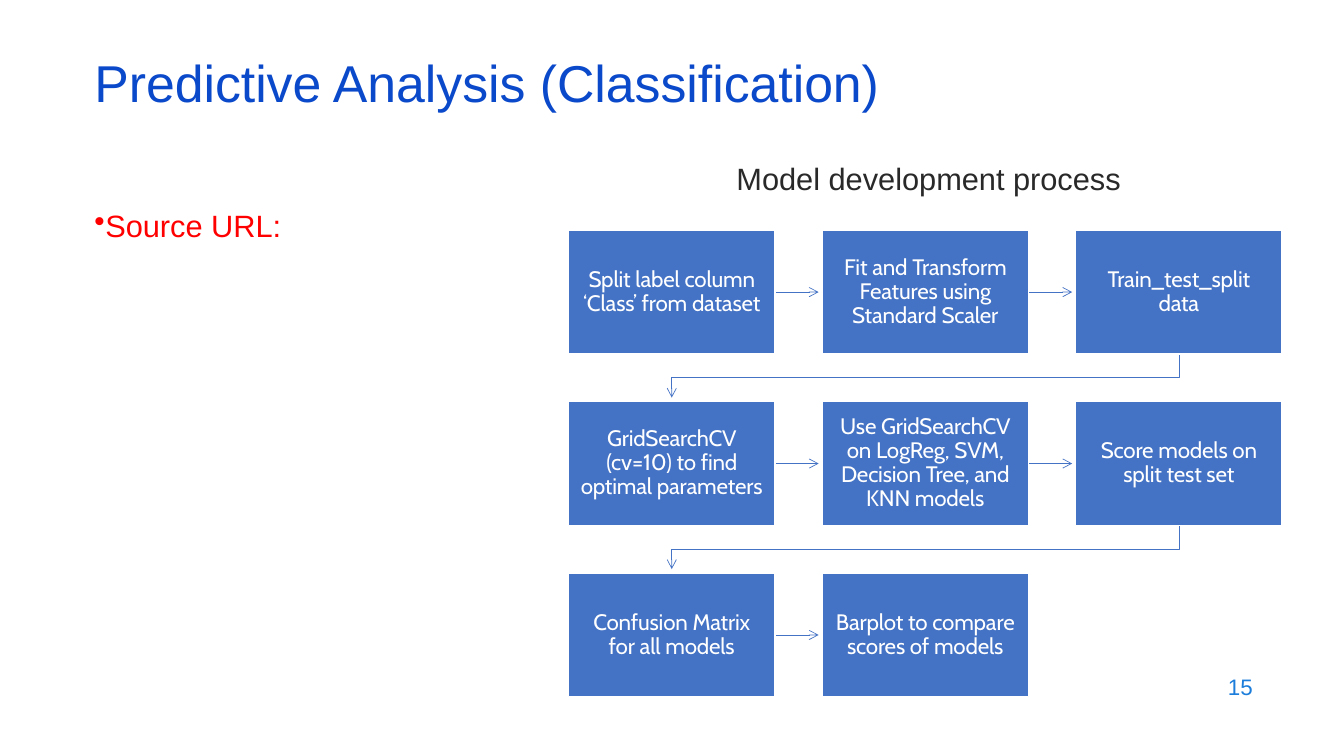
from lxml import etree
from pptx import Presentation
from pptx.dml.color import RGBColor
from pptx.enum import shapes, text
from pptx.oxml.ns import qn
from pptx.util import Cm, Pt

# Content
TITLE = "Predictive Analysis (Classification)"
REPOSITORY = "Source URL:"
PROCESS_HEADING = "Model development process"
PAGE_NUMBER = "15"
STEPS = [
    "Split label column ‘Class’ from dataset",
    "Fit and Transform Features using Standard Scaler",
    "Train_test_split data",
    "GridSearchCV (cv=10) to find optimal parameters",
    "Use GridSearchCV on LogReg, SVM, Decision Tree, and KNN models",
    "Score models on split test set",
    "Confusion Matrix for all models",
    "Barplot to compare scores of models",
]

# Colours
TITLE_BLUE = RGBColor(0x0B, 0x49, 0xCB)
PAGE_BLUE = RGBColor(0x1C, 0x7D, 0xDB)
STEP_BLUE = RGBColor(0x44, 0x72, 0xC4)
RED = RGBColor(0xFF, 0x00, 0x00)
DARK = RGBColor(0x29, 0x29, 0x29)
WHITE = RGBColor(0xFF, 0xFF, 0xFF)

# Flow grid, in centimetres
COLUMNS = 3
FLOW_LEFT, FLOW_TOP = 14.33, 5.8
STEP_WIDTH, STEP_HEIGHT = 5.2, 3.12
PITCH_X, PITCH_Y = 6.39, 4.32
ARROW_LENGTH = 1.1
STEP_INSET = 0.3

deck = Presentation()
deck.slide_width, deck.slide_height = Cm(33.87), Cm(19.05)
slide = deck.slides.add_slide(deck.slide_layouts[6])


def write(frame, words, size, color, font="Arial", align=text.PP_ALIGN.LEFT,
          anchor=text.MSO_ANCHOR.TOP, spacing=None, tracking=None,
          bullet=None, inset=None):
    frame.word_wrap = True
    frame.vertical_anchor = anchor
    if inset is not None:
        frame.margin_left = frame.margin_right = Cm(inset)
        frame.margin_top = frame.margin_bottom = Cm(inset)
    paragraph = frame.paragraphs[0]
    if bullet:
        properties = paragraph._p.get_or_add_pPr()
        etree.SubElement(properties, qn("a:buChar")).set("char", bullet)
    paragraph.alignment = align
    if spacing:
        paragraph.line_spacing = spacing
    run = paragraph.add_run()
    run.text = words
    run.font.name, run.font.size = font, Pt(size)
    run.font.color.rgb = color
    if tracking:
        run._r.get_or_add_rPr().set("spc", str(tracking))


def text_area(left, top, width, height):
    return slide.shapes.add_textbox(Cm(left), Cm(top), Cm(width), Cm(height)).text_frame


def style_arrow(arrow):
    arrow.line.color.rgb = STEP_BLUE
    arrow.line.width = Pt(0.5)
    etree.SubElement(arrow.line._get_or_add_ln(), qn("a:tailEnd")).set("type", "arrow")


def arrow_right(x, y):
    arrow = slide.shapes.add_connector(
        shapes.MSO_CONNECTOR.STRAIGHT, Cm(x), Cm(y), Cm(x + ARROW_LENGTH), Cm(y))
    style_arrow(arrow)
    etree.SubElement(arrow._element.spPr, qn("a:effectLst"))


def arrow_to_next_row(x, y):
    first_x = FLOW_LEFT + STEP_WIDTH / 2
    middle_y = y + (PITCH_Y - STEP_HEIGHT) / 2
    builder = slide.shapes.build_freeform(Cm(x), Cm(y))
    corners = [(x, middle_y), (first_x, middle_y), (first_x, y + ARROW_LENGTH)]
    builder.add_line_segments([(Cm(a), Cm(b)) for a, b in corners], close=False)
    arrow = builder.convert_to_shape()
    arrow.fill.background()
    style_arrow(arrow)
    arrow.shadow.inherit = False


# Page number, repository, title and heading
write(text_area(24.2, 16.74, 7.62, 1.12), PAGE_NUMBER, 16, PAGE_BLUE,
      align=text.PP_ALIGN.RIGHT, anchor=text.MSO_ANCHOR.MIDDLE)
write(text_area(2.13, 5.08, 10.54, 12.1), REPOSITORY, 22, RED, bullet="•")
write(text_area(2.13, 1.5, 29.21, 1.52), TITLE, 37, TITLE_BLUE,
      anchor=text.MSO_ANCHOR.MIDDLE, spacing=0.7)
write(text_area(18.31, 3.89, 10.26, 1.19), PROCESS_HEADING, 22, DARK)

# Process steps, each with the arrow that leaves it
for index, words in enumerate(STEPS):
    row, column = divmod(index, COLUMNS)
    left, top = FLOW_LEFT + column * PITCH_X, FLOW_TOP + row * PITCH_Y
    if index < len(STEPS) - 1:
        if column < COLUMNS - 1:
            arrow_right(left + STEP_WIDTH, top + STEP_HEIGHT / 2)
        else:
            arrow_to_next_row(left + STEP_WIDTH / 2, top + STEP_HEIGHT)
    step = slide.shapes.add_shape(
        shapes.MSO_SHAPE.RECTANGLE, Cm(left), Cm(top), Cm(STEP_WIDTH), Cm(STEP_HEIGHT))
    step.shadow.inherit = False
    step.fill.solid()
    step.fill.fore_color.rgb = STEP_BLUE
    step.line.color.rgb = WHITE
    step.line.width = Pt(1)
    write(step.text_frame, words, 16, WHITE, font="Cabin", align=text.PP_ALIGN.CENTER,
          anchor=text.MSO_ANCHOR.MIDDLE, spacing=0.9, tracking=-10, inset=STEP_INSET)

deck.save("out.pptx")
